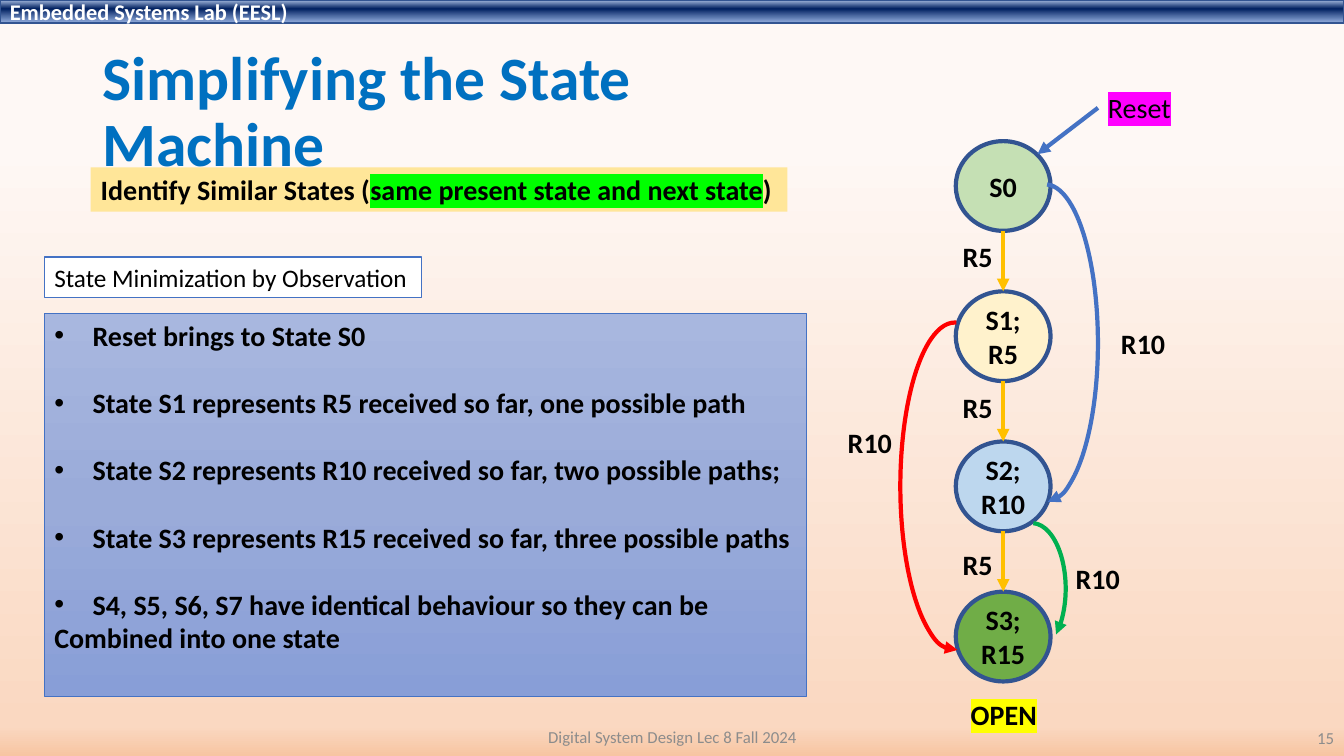
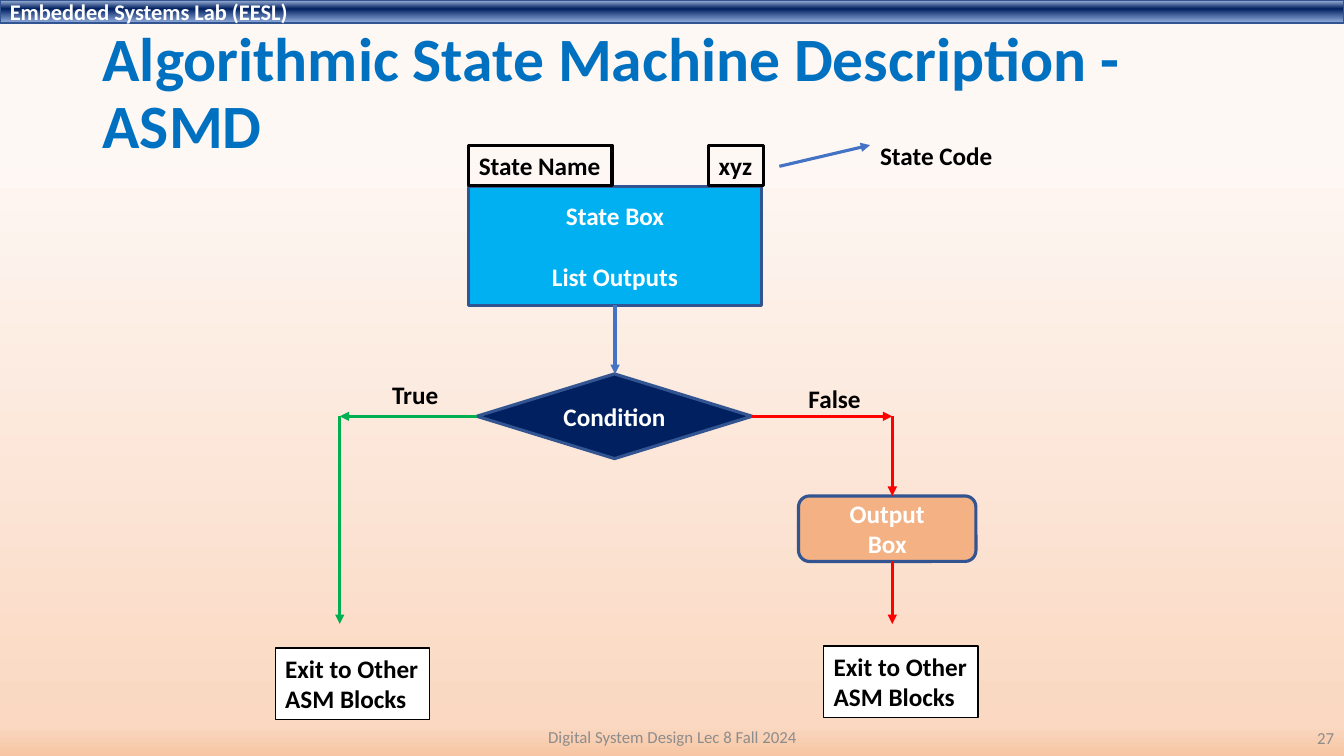
"""Build two lecture slides on state machines and algorithmic state machine charts."""

from dataclasses import dataclass
from typing import Any, NamedTuple, Optional

from lxml import etree
from pptx import Presentation
from pptx.dml.color import RGBColor
from pptx.enum.shapes import MSO_CONNECTOR, MSO_SHAPE
from pptx.enum.text import MSO_ANCHOR, MSO_AUTO_SIZE, PP_ALIGN
from pptx.oxml.ns import qn
from pptx.util import Inches, Pt

RECT, ELLIPSE, ARC = MSO_SHAPE.RECTANGLE, MSO_SHAPE.OVAL, MSO_SHAPE.ARC
DECISION = MSO_SHAPE.FLOWCHART_DECISION
ROUNDED = MSO_SHAPE.FLOWCHART_ALTERNATE_PROCESS
STRAIGHT = MSO_CONNECTOR.STRAIGHT
LEFT, CENTER, RIGHT = PP_ALIGN.LEFT, PP_ALIGN.CENTER, PP_ALIGN.RIGHT
TOP, MIDDLE = MSO_ANCHOR.TOP, MSO_ANCHOR.MIDDLE
FIT, FIXED = MSO_AUTO_SIZE.SHAPE_TO_FIT_TEXT, MSO_AUTO_SIZE.NONE

FONT = "Calibri"
WIDTH, HEIGHT = 13.33, 7.5
COLORS = {
    "black": "000000", "white": "FFFFFF", "title": "0070C0", "footer": "8C8C8C",
    "navy": "002060", "edge": "325491", "blue": "4472C4", "sky": "00B0F0",
    "red": "FF0000", "green": "00B050", "amber": "FFC000", "banner": "FFE699",
    "lime": "00FF00", "yellow": "FFFF00", "magenta": "FF00FF", "peach": "F4B183",
    "s0": "C5E0B4", "s1": "FFF2CC", "s2": "BDD7EE", "s3": "70AD47",
}


class Stop(NamedTuple):
    """One gradient stop, with position and opacity in percent."""

    position: int
    color: str
    opacity: int = 100


GRADIENTS = {
    "page": (Stop(19, "FEF8F5", 97), Stop(96, "FAD8C1"), Stop(100, "F7C5A2")),
    "band": (Stop(2, "ABC0E4"), Stop(38, "002060"), Stop(93, "7E9ED6", 87)),
    "panel": (Stop(0, "A8B7DF"), Stop(50, "9AABD9"), Stop(100, "889ED7")),
}


class Span(NamedTuple):
    """A stretch of text with an optional highlight."""

    text: str
    highlight: str = ""


class Line(NamedTuple):
    """One paragraph with the gap above it in points."""

    spans: tuple[Span, ...]
    gap: float = 0
    bullet: bool = False


@dataclass(frozen=True)
class Box:
    """A text box, or a preset shape when a kind is given."""

    at: tuple[float, float, float, float]
    lines: tuple[Line, ...]
    kind: Optional[MSO_SHAPE] = None
    fill: str = ""
    edge: str = ""
    weight: float = 1
    size: float = 18
    bold: bool = True
    color: str = "black"
    align: PP_ALIGN = LEFT
    anchor: MSO_ANCHOR = TOP
    fit: bool = False
    spacing: float = 1
    inset: float = 0.1


@dataclass(frozen=True)
class Link:
    """A straight arrow."""

    start: tuple[float, float]
    end: tuple[float, float]
    color: str
    weight: float


@dataclass(frozen=True)
class Curve:
    """An arc that ends in an arrowhead, with angles in degrees."""

    at: tuple[float, float, float, float]
    angles: tuple[float, float]
    color: str
    flipped: bool = False


def text_lines(*texts: str, gap: float = 0) -> tuple[Line, ...]:
    """Turn plain texts into paragraphs set apart by a gap."""
    return tuple(Line((Span(text),), gap if index else 0) for index, text in enumerate(texts))


def rgb(name: str) -> RGBColor:
    """Look up a named colour."""
    return RGBColor.from_string(COLORS[name])


def apply(target: Any, **values: Any) -> None:
    """Set each format value on the target."""
    for name, value in values.items():
        setattr(target, name, value)


def child(parent: Any, tag: str, **values: str) -> Any:
    """Append an XML element with its attributes."""
    return etree.SubElement(parent, qn(tag), values)


def paint_gradient(fill: Any, owner: Any, name: str) -> None:
    """Fill an object with a named top-down gradient."""
    fill.gradient()
    fill.gradient_angle = 270
    stops = owner.find(".//" + qn("a:gsLst"))
    for old in list(stops):
        stops.remove(old)
    for stop in GRADIENTS[name]:
        entry = child(stops, "a:gs", pos=str(stop.position * 1000))
        color = child(entry, "a:srgbClr", val=stop.color)
        if stop.opacity < 100:
            child(color, "a:alpha", val=str(stop.opacity * 1000))


def draw_edge(shape: Any, color: str, weight: float, arrow: bool = False) -> None:
    """Colour an outline and optionally end it in an arrowhead."""
    shape.line.color.rgb = rgb(color)
    shape.line.width = Pt(weight)
    if arrow:
        child(shape._element.spPr.find(qn("a:ln")), "a:tailEnd", type="triangle")


def write_line(para: Any, line: Line, box: Box) -> None:
    """Write one paragraph of a box."""
    apply(para, alignment=box.align, line_spacing=box.spacing)
    if line.gap:
        para.space_before = Pt(line.gap)
    if line.bullet:
        properties = para._p.get_or_add_pPr()
        indent = Inches(0.38)
        properties.set("marL", str(indent))
        properties.set("indent", str(-indent))
        child(properties, "a:buFont", typeface="Arial")
        child(properties, "a:buChar", char="•")
    for span in line.spans:
        run = para.add_run()
        run.text = span.text
        apply(run.font, name=FONT, size=Pt(box.size), bold=box.bold)
        run.font.color.rgb = rgb(box.color)
        if span.highlight:
            mark = etree.Element(qn("a:highlight"))
            child(mark, "a:srgbClr", val=COLORS[span.highlight])
            run.font._element.find(qn("a:solidFill")).addnext(mark)


def draw_box(page: Any, box: Box) -> None:
    """Draw a box with its text."""
    place = [Inches(value) for value in box.at]
    if box.kind is None:
        shape = page.shapes.add_textbox(*place)
    else:
        shape = page.shapes.add_shape(box.kind, *place)
        shape.shadow.inherit = False
        if box.fill in GRADIENTS:
            paint_gradient(shape.fill, shape._element, box.fill)
        elif box.fill:
            shape.fill.solid()
            shape.fill.fore_color.rgb = rgb(box.fill)
        else:
            shape.fill.background()
        if box.edge:
            draw_edge(shape, box.edge, box.weight)
        else:
            shape.line.fill.background()
    frame = shape.text_frame
    apply(frame, word_wrap=not box.fit, auto_size=FIT if box.fit else FIXED,
          vertical_anchor=box.anchor, margin_left=Inches(box.inset),
          margin_right=Inches(box.inset))
    for index, line in enumerate(box.lines):
        write_line(frame.add_paragraph() if index else frame.paragraphs[0], line, box)


def draw_link(page: Any, link: Link) -> None:
    """Draw a straight arrow."""
    ends = [Inches(value) for value in (*link.start, *link.end)]
    connector = page.shapes.add_connector(STRAIGHT, *ends)
    draw_edge(connector, link.color, link.weight, arrow=True)
    child(connector._element.spPr, "a:effectLst")


def draw_curve(page: Any, curve: Curve) -> None:
    """Draw a curved arrow."""
    shape = page.shapes.add_shape(ARC, *[Inches(value) for value in curve.at])
    for index, angle in enumerate(curve.angles):
        shape.adjustments[index] = angle * 0.6
    if curve.flipped:
        shape._element.spPr.xfrm.set("flipH", "1")
    shape.shadow.inherit = False
    shape.fill.background()
    draw_edge(shape, curve.color, 3, arrow=True)


def add_page(deck: Any, title: str, at: tuple[float, float, float, float], number: str) -> Any:
    """Add a slide with the shared band, title and footers."""
    page = deck.slides.add_slide(deck.slide_layouts[6])
    small = {"size": 12, "bold": False, "color": "footer", "anchor": MIDDLE}
    for box in (
        Box((0, 0, WIDTH, 0.23), text_lines("Embedded Systems Lab (EESL)"), RECT, "band",
            "edge", size=16, color="white", anchor=MIDDLE),
        Box(at, text_lines(title), size=44, color="title", anchor=MIDDLE, spacing=0.9),
        Box((4.42, 7.11, 4.5, 0.4), text_lines("Digital System Design Lec 8 Fall 2024"),
            align=CENTER, **small),
        Box((10.33, 7.12, 3, 0.4), text_lines(number), align=RIGHT, **small),
    ):
        draw_box(page, box)
    return page


def build_state_machine(deck: Any) -> None:
    """Build the slide with the simplified state diagram."""
    page = add_page(deck, "Simplifying the State Machine", (0.92, 0.4, 7.59, 1.45), "15")
    banner = (Span("Identify Similar States ("),
              Span("same present state and next state", "lime"), Span(")"))
    facts = (
        "Reset brings to State S0",
        "State S1 represents R5 received so far, one possible path",
        "State S2 represents R10 received so far, two possible paths;",
        "State S3 represents R15 received so far, three possible paths",
        "S4, S5, S6, S7 have identical behaviour so they can be",
    )
    bullets = tuple(line._replace(bullet=True) for line in text_lines(*facts, gap=24))
    boxes = [
        Box((0.9, 1.66, 6.91, 0.44), (Line(banner),), RECT, "banner", size=20),
        Box((0.44, 2.55, 3.74, 0.4), text_lines("State Minimization by Observation"),
            RECT, "white", "blue", bold=False, fit=True),
        Box((0.44, 3.11, 7.56, 3.8), bullets + text_lines("Combined into one state"),
            RECT, "panel", "blue", 0.5, size=20),
        Box((9.53, 6.87, 0.86, 0.44), (Line((Span("OPEN", "yellow"),)),), size=20, fit=True),
        Box((10.89, 0.85, 0.83, 0.44), (Line((Span("Reset", "magenta"),)),), size=20,
            bold=False, fit=True),
    ]
    left, top, width, height, pitch = 9.48, 1.4, 0.94, 0.89, 1.49
    states = (("S0",), ("S1;", "R5"), ("S2;", "R10"), ("S3;", "R15"))
    for index, state in enumerate(states):
        boxes.append(Box((left, top + index * pitch, width, height), text_lines(*state),
                         ELLIPSE, f"s{index}", "edge", 3, 20, align=CENTER,
                         anchor=MIDDLE, inset=0))
    for label, x, y in (("R5", 9.45, 2.33), ("R5", 9.45, 3.82), ("R5", 9.45, 5.38),
                        ("R10", 11.02, 3.19), ("R10", 8.31, 4.17), ("R10", 10.57, 5.52)):
        boxes.append(Box((x, y, 0.5 if label == "R5" else 0.64, 0.44),
                         text_lines(label), size=20, fit=True))
    for box in boxes:
        draw_box(page, box)
    middle = left + width / 2
    for index in range(len(states) - 1):
        upper = top + index * pitch
        draw_link(page, Link((middle, upper + height), (middle, upper + pitch), "amber", 3))
    draw_link(page, Link((10.89, 1.07), (10.29, 1.53), "blue", 3))
    for curve in (
        Curve((9.85, 1.83, 1.04, 3.15), (270.57, 89.17), "blue"),
        Curve((8.93, 3.2, 1.08, 3.25), (269.44, 90.93), "red", flipped=True),
        Curve((9.9, 5.19, 0.67, 1.3), (271.3, 62.16), "green"),
    ):
        draw_curve(page, curve)


def build_chart_description(deck: Any) -> None:
    """Build the slide with the parts of a state machine chart."""
    page = add_page(deck, "Algorithmic State Machine Description - ASMD",
                    (0.92, 0.22, 11.5, 1.45), "27")
    node = {"edge": "edge", "weight": 2.25, "color": "white", "align": CENTER, "anchor": MIDDLE}
    boxes = [
        Box((4.65, 1.85, 2.9, 1.18), text_lines("State Box", "List Outputs", gap=22),
            RECT, "sky", **node),
        Box((4.73, 3.71, 2.73, 0.84), text_lines("Condition"), DECISION, "navy", **node),
        Box((7.92, 4.92, 1.76, 0.65), text_lines("Output", "Box"), ROUNDED, "peach", **node),
    ]
    for text, x, tag_width in (("xyz", 7.03, 0.54), ("State Name", 4.65, 1.42)):
        boxes.append(Box((x, 1.44, tag_width, 0.4), text_lines(text), RECT, edge="black",
                         weight=2.25, fit=True))
    for x, y in ((8.17, 6.41), (2.73, 6.43)):
        boxes.append(Box((x, y, 1.53, 0.71), text_lines("Exit to Other", "ASM Blocks"),
                         RECT, "white", "black", fit=True))
    for text, x, y, label_width in (("True", 3.79, 3.71, 0.66), ("False", 7.92, 3.75, 0.72),
                                    ("State Code", 8.63, 1.34, 1.33)):
        boxes.append(Box((x, y, label_width, 0.4), text_lines(text), fit=True))
    for box in boxes:
        draw_box(page, box)
    for start, end, color in (
        ((6.1, 3.03), (6.1, 3.71), "blue"), ((7.73, 1.65), (8.63, 1.44), "blue"),
        ((4.73, 4.13), (3.37, 4.13), "green"), ((3.37, 4.13), (3.37, 6.19), "green"),
        ((7.46, 4.13), (8.85, 4.13), "red"), ((8.85, 4.13), (8.85, 4.92), "red"),
        ((8.85, 5.57), (8.85, 6.19), "red"),
    ):
        draw_link(page, Link(start, end, color, 2.25))


def main() -> None:
    """Build and save the deck."""
    deck = Presentation()
    apply(deck, slide_width=Inches(WIDTH), slide_height=Inches(HEIGHT))
    master = deck.slide_master
    paint_gradient(master.background.fill, master._element, "page")
    build_state_machine(deck)
    build_chart_description(deck)
    deck.save("out.pptx")


if __name__ == "__main__":
    main()
